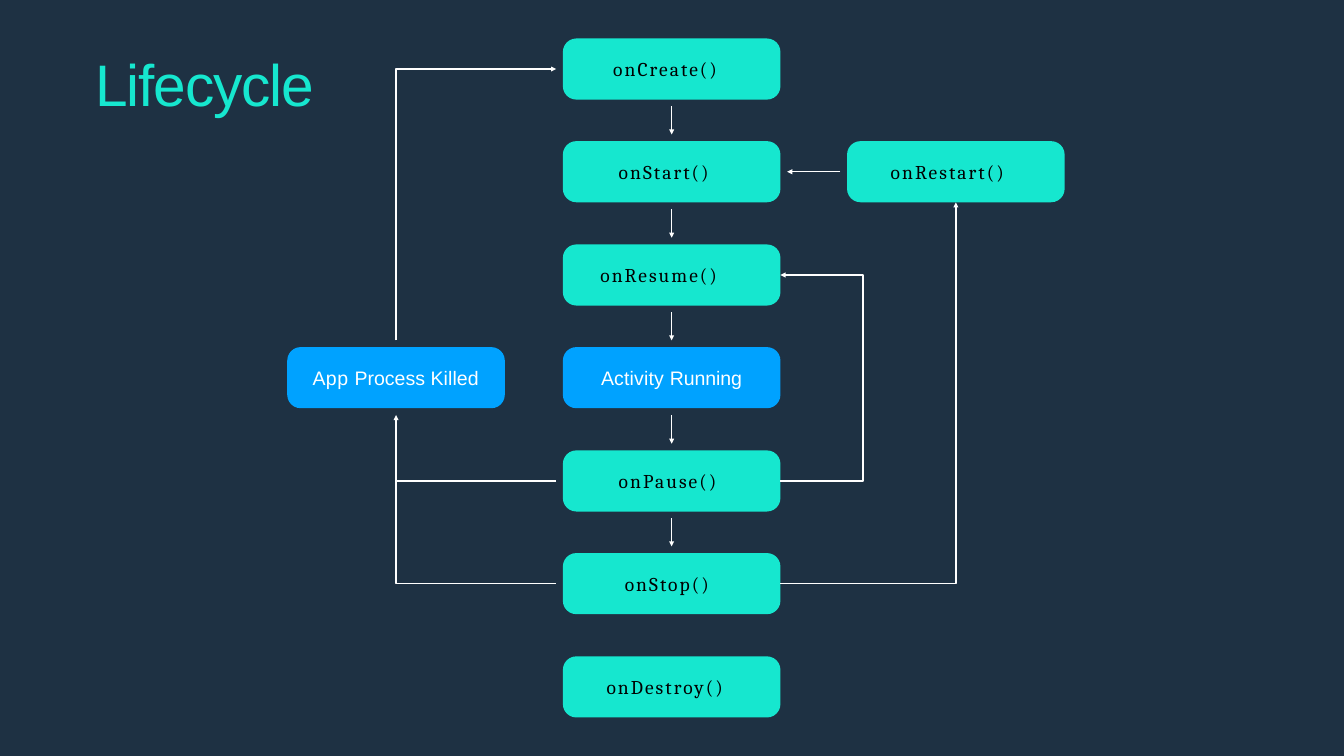
from lxml.etree import SubElement
from pptx import Presentation
from pptx.dml.color import RGBColor
from pptx.enum.shapes import MSO_CONNECTOR, MSO_SHAPE
from pptx.enum.text import MSO_ANCHOR, MSO_AUTO_SIZE, PP_ALIGN
from pptx.oxml.ns import qn
from pptx.util import Pt

PX = 9144  # EMU per px, 100 px to the inch
SLIDE_W, SLIDE_H = 2199, 1237
NODE_W, NODE_H = 356, 100
GAP = 11  # between a node and an arrow
CORNER = 0.22  # corner radius as a share of the node height
CORNER_INSET = 6  # text inset that the rounded corners add
KILLED_X, MAIN_X, RESTART_X = 470, 921, 1386
RESUME_LOOP_X = 1412

COLORS = {
    "background": "1E3143",
    "callback": "16E7CF",
    "state": "00A2FF",
    "callback_text": "000000",
    "white": "FFFFFF",
}

# Label runs as (text, letter spacing in 1/100 pt), with the label's indent
CALLBACKS = [
    ("onCreate()", MAIN_X, 0, 82),
    ("onStart()", MAIN_X, 1, 91),
    ("onResume()", MAIN_X, 2, 61),
    ("onPause()", MAIN_X, 4, 91),
    ("onStop()", MAIN_X, 5, 101),
    ("onDestroy()", MAIN_X, 6, 71),
    ("onRestart()", RESTART_X, 1, 71),
]
STATES = [
    ([("Activity ", 20), ("Running", -10)], MAIN_X, 3, 62),
    ([("App ", 50), ("Process ", 0), ("Killed", 10)], KILLED_X, 3, 41),
]


def color(name):
    return RGBColor.from_string(COLORS[name])


def row_top(row):
    return 63 + 337 * row // 2


def row_middle(row):
    return row_top(row) + NODE_H // 2


def add_run(paragraph, text, size, font, color_name, spacing):
    run = paragraph.add_run()
    run.text = text
    run.font.size = Pt(size)
    run.font.name = font
    run.font.color.rgb = color(color_name)
    run.font._element.set("spc", str(spacing))


def set_margins(frame, left, top):
    frame.margin_left, frame.margin_top = left * PX, top * PX
    frame.margin_right = frame.margin_bottom = 0


def add_title(slide, text):
    title = slide.shapes.title
    title.left, title.top = 155 * PX, 74 * PX
    title.width, title.height = 359 * PX, 118 * PX
    frame = title.text_frame
    frame.auto_size = MSO_AUTO_SIZE.NONE
    frame.word_wrap = False
    frame.vertical_anchor = MSO_ANCHOR.TOP
    set_margins(frame, 1, 4)
    frame.paragraphs[0].alignment = PP_ALIGN.LEFT
    add_run(frame.paragraphs[0], text, 69, "Arial", "callback", -140)


def add_node(slide, runs, left, row, indent, fill, font, text_color):
    node = slide.shapes.add_shape(
        MSO_SHAPE.ROUNDED_RECTANGLE,
        left * PX, row_top(row) * PX, NODE_W * PX, NODE_H * PX)
    node.adjustments[0] = CORNER
    node.shadow.inherit = False
    node.fill.solid()
    node.fill.fore_color.rgb = color(fill)
    node.line.fill.background()
    frame = node.text_frame
    frame.word_wrap = True
    frame.vertical_anchor = MSO_ANCHOR.MIDDLE
    set_margins(frame, indent - CORNER_INSET, 0)
    label = frame.paragraphs[0]
    label.alignment = PP_ALIGN.LEFT
    for text, spacing in runs:
        add_run(label, text, 23, font, text_color, spacing)


def style_line(line_shape, head):
    line_shape.line.color.rgb = color("white")
    line_shape.line.width = Pt(1.65)
    properties = line_shape.element.spPr
    if head:
        SubElement(properties.find(qn("a:ln")), qn("a:tailEnd"),
                   type="triangle", w="med", len="med")
    SubElement(properties, qn("a:effectLst"))


def add_straight(slide, start, end, head=True):
    ends = [value * PX for value in (*start, *end)]
    style_line(slide.shapes.add_connector(MSO_CONNECTOR.STRAIGHT, *ends), head)


def add_bent_arrow(slide, start, *corners):
    builder = slide.shapes.build_freeform(*start, scale=PX)
    builder.add_line_segments(corners, close=False)
    bent = builder.convert_to_shape()
    bent.fill.background()
    style_line(bent, head=True)


def add_flow(slide):
    main_left, main_right = MAIN_X - GAP, MAIN_X + NODE_W
    main_center = MAIN_X + NODE_W // 2
    killed_center = KILLED_X + NODE_W // 2
    restart_center = RESTART_X + NODE_W // 2
    create, start, resume, running, pause, stop = map(row_middle, range(6))

    # Steps down the main column
    for row in range(5):
        add_straight(slide, (main_center, row_top(row) + NODE_H + GAP),
                     (main_center, row_top(row + 1) - GAP))

    # Back to the foreground
    add_straight(slide, (RESTART_X - GAP, start), (main_right + GAP, start))
    add_bent_arrow(slide, (main_right, pause), (RESUME_LOOP_X, pause),
                   (RESUME_LOOP_X, resume), (main_right, resume))
    add_bent_arrow(slide, (main_right, stop), (restart_center, stop),
                   (restart_center, row_top(1) + NODE_H))

    # Process killed and created again
    add_straight(slide, (main_left, pause), (killed_center, pause), head=False)
    add_bent_arrow(slide, (main_left, stop), (killed_center, stop),
                   (killed_center, row_top(3) + NODE_H + GAP))
    add_bent_arrow(slide, (killed_center, row_top(3) - GAP),
                   (killed_center, create), (main_left, create))


def main():
    deck = Presentation()
    deck.slide_width, deck.slide_height = SLIDE_W * PX, SLIDE_H * PX
    slide = deck.slides.add_slide(deck.slide_layouts[5])
    slide.background.fill.solid()
    slide.background.fill.fore_color.rgb = color("background")

    add_title(slide, "Lifecycle")
    for name, left, row, indent in CALLBACKS:
        add_node(slide, [(name, 240)], left, row, indent,
                 "callback", "Cambria", "callback_text")
    for runs, left, row, indent in STATES:
        add_node(slide, runs, left, row, indent, "state", "Arial", "white")
    add_flow(slide)
    deck.save("out.pptx")


if __name__ == "__main__":
    main()
